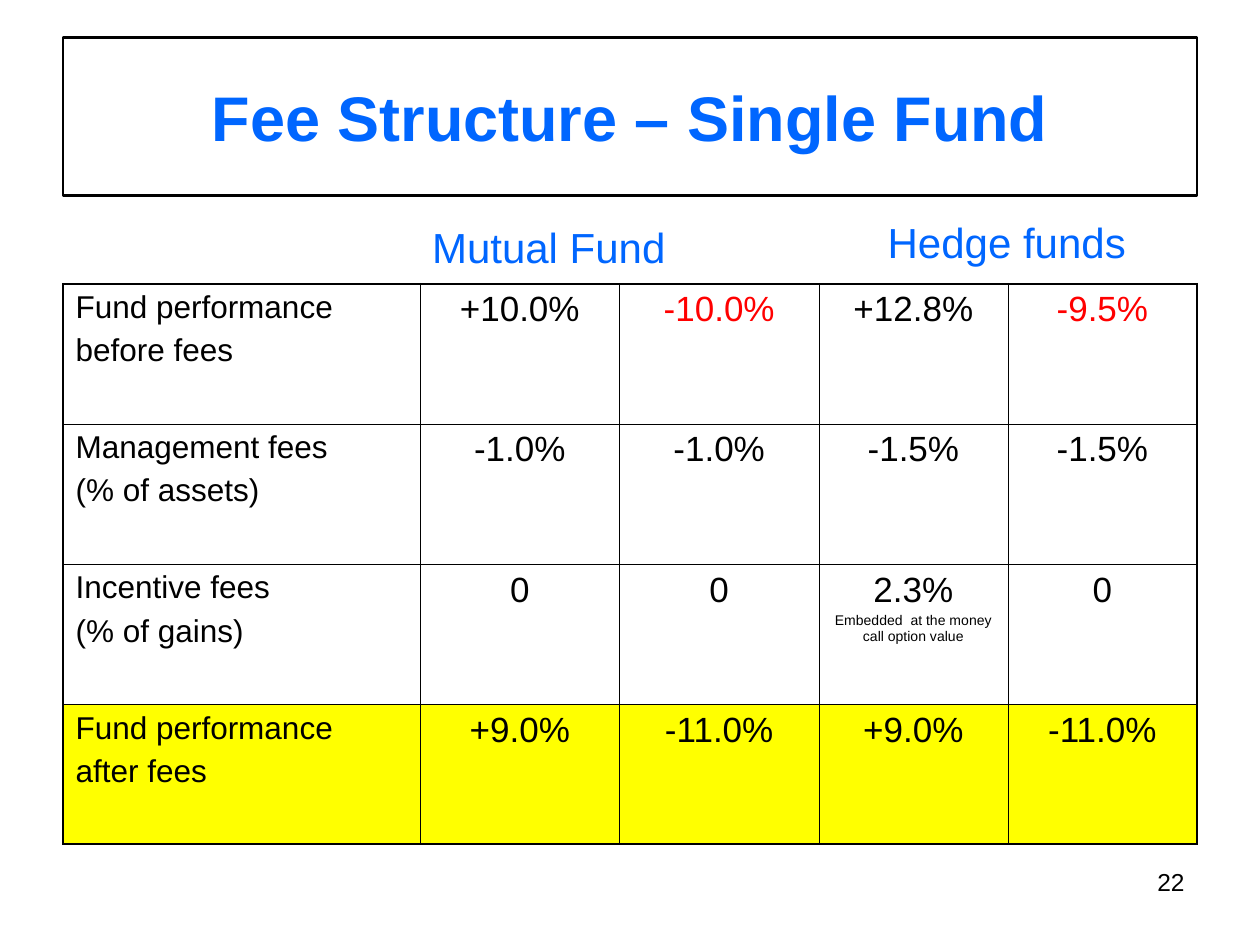
from dataclasses import dataclass

from lxml.etree import SubElement
from pptx import Presentation
from pptx.dml.color import RGBColor
from pptx.enum.text import MSO_ANCHOR as Anchor, MSO_AUTO_SIZE as AutoSize, PP_ALIGN as Align
from pptx.oxml.ns import qn
from pptx.util import Cm, Pt


@dataclass(frozen=True)
class Theme:
    font: str = "Arial"
    black: str = "000000"
    blue: str = "0066FF"
    red: str = "FF0000"
    yellow: str = "FFFF00"
    title: int = 36
    heading: int = 24
    value: int = 20
    label: int = 18
    number: int = 14
    note: int = 8
    title_line: float = 1.5
    outer_line: float = 1.08
    inner_line: float = 0.45


THEME = Theme()
TITLE_ONLY_LAYOUT = 5
COLUMN_WIDTHS = (7.2, 4.02, 4.02, 3.81, 3.81)
FEE_ROWS = [
    ("Fund performance\nbefore fees", "+10.0%", "-10.0%", "+12.8%", "-9.5%"),
    ("Management fees\n(% of assets)", "-1.0%", "-1.0%", "-1.5%", "-1.5%"),
    ("Incentive fees\n(% of gains)", "0", "0", "2.3%\nEmbedded  at the money call option value", "0"),
    ("Fund performance\nafter fees", "+9.0%", "-11.0%", "+9.0%", "-11.0%"),
]


def set_values(target, values):
    for name, value in values.items():
        setattr(target, name, value)


def place(shape, box):
    set_values(shape, dict(zip(("left", "top", "width", "height"), map(Cm, box))))


def write(paragraph, text, size, color=THEME.black, align=Align.LEFT, bold=False):
    paragraph.text = text
    paragraph.alignment = align
    set_values(paragraph.font, {"name": THEME.font, "size": Pt(size), "bold": bold})
    paragraph.font.color.rgb = RGBColor.from_string(color)


def add_title(slide, box, text):
    title = slide.shapes.title
    place(title, box)
    title.line.color.rgb = RGBColor.from_string(THEME.black)
    title.line.width = Pt(THEME.title_line)
    set_values(title.text_frame, {
        "vertical_anchor": Anchor.MIDDLE, "word_wrap": True, "auto_size": AutoSize.NONE,
    })
    write(title.text_frame.paragraphs[0], text, THEME.title, THEME.blue, Align.CENTER, True)


def add_text(slide, box, text, size, color, align):
    frame = slide.shapes.add_textbox(*map(Cm, box)).text_frame
    frame.word_wrap = True
    write(frame.paragraphs[0], text, size, color, align)


def set_borders(cell, widths):
    properties = cell._tc.get_or_add_tcPr()
    for side, width in widths.items():
        line = SubElement(properties, qn(f"a:ln{side}"), w=str(int(Pt(width))))
        fill = SubElement(line, qn("a:solidFill"))
        SubElement(fill, qn("a:srgbClr"), val=THEME.black)


def fill_cell(cell, text, is_label, color):
    main_size = THEME.label if is_label else THEME.value
    for index, line in enumerate(text.split("\n")):
        frame = cell.text_frame
        paragraph = frame.add_paragraph() if index else frame.paragraphs[0]
        size = main_size if is_label or not index else THEME.note
        write(paragraph, line, size, color, Align.LEFT if is_label else Align.CENTER)
        if index:
            paragraph.space_before = Pt(size / 4)


def add_fee_table(slide, box, rows):
    last_row, last_column = len(rows) - 1, len(COLUMN_WIDTHS) - 1
    table = slide.shapes.add_table(len(rows), len(COLUMN_WIDTHS), *map(Cm, box)).table
    set_values(table, {"first_row": False, "horz_banding": False})
    for column, width in zip(table.columns, COLUMN_WIDTHS):
        column.width = Cm(width)
    for row_index, texts in enumerate(rows):
        for column_index, text in enumerate(texts):
            cell = table.cell(row_index, column_index)
            is_loss = row_index == 0 and text.startswith("-")
            fill_cell(cell, text, column_index == 0, THEME.red if is_loss else THEME.black)
            on_edge = {
                "L": column_index == 0, "R": column_index == last_column,
                "T": row_index == 0, "B": row_index == last_row,
            }
            set_borders(cell, {
                side: THEME.outer_line if outer else THEME.inner_line
                for side, outer in on_edge.items()
            })
            if row_index == last_row:
                cell.fill.solid()
                cell.fill.fore_color.rgb = RGBColor.from_string(THEME.yellow)
            else:
                cell.fill.background()


def main():
    presentation = Presentation()
    set_values(presentation, {"slide_width": Cm(25.4), "slide_height": Cm(19.05)})
    slide = presentation.slides.add_slide(presentation.slide_layouts[TITLE_ONLY_LAYOUT])
    add_title(slide, (1.27, 0.76, 22.86, 3.18), "Fee Structure – Single Fund")
    add_fee_table(slide, (1.27, 5.72, 22.86, 11.3), FEE_ROWS)
    add_text(slide, (8.46, 4.34, 7.87, 1.27), "Mutual Fund", THEME.heading, THEME.blue, Align.LEFT)
    add_text(slide, (16.46, 4.24, 7.67, 1.27), "Hedge funds", THEME.heading, THEME.blue, Align.CENTER)
    add_text(slide, (18.21, 17.35, 5.92, 1.32), "22", THEME.number, THEME.black, Align.RIGHT)
    presentation.save("out.pptx")


if __name__ == "__main__":
    main()
